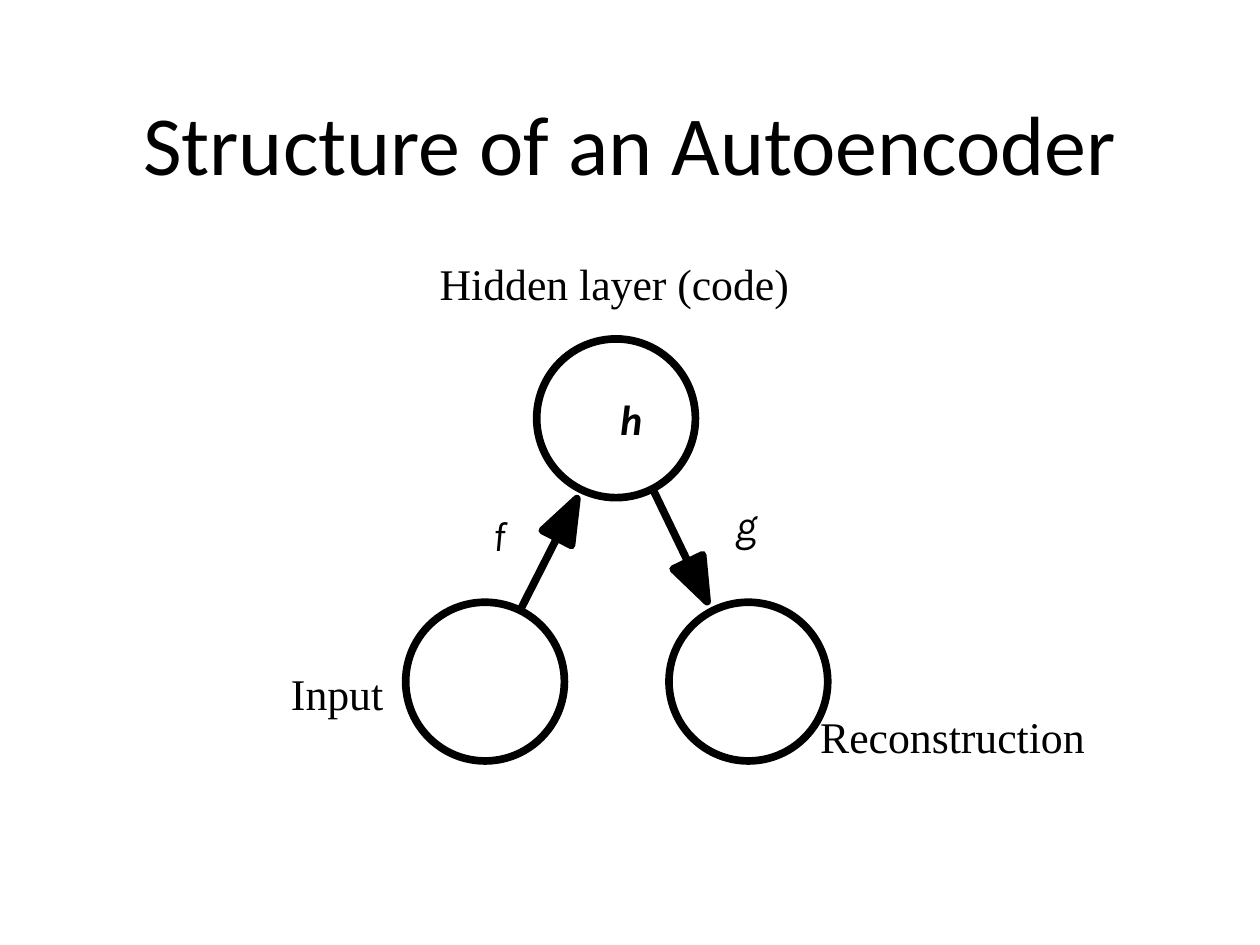
import math

import pptx
import pptx.dml.color
import pptx.enum.shapes
import pptx.enum.text
import pptx.oxml
import pptx.util
from pptx.util import Inches

BLACK = "000000"
LINE_WIDTH = 4.39
DIAMETER = 1.26
HEAD_LENGTH = 0.35
HEAD_HALF_WIDTH = 0.13
SERIF = "Times New Roman"


def color(hex_string):
    return pptx.dml.color.RGBColor.from_string(hex_string)


def set_line(shape):
    shape.line.color.rgb = color(BLACK)
    shape.line.width = pptx.util.Pt(LINE_WIDTH)


def add_text(slide, text, left, top, width, height, *, size=25, font=SERIF,
             bold=False, italic=False, wrap=False,
             align=pptx.enum.text.PP_ALIGN.LEFT,
             anchor=pptx.enum.text.MSO_ANCHOR.TOP):
    box = slide.shapes.add_textbox(Inches(left), Inches(top), Inches(width), Inches(height))
    frame = box.text_frame
    frame.word_wrap = wrap
    frame.vertical_anchor = anchor
    frame.margin_left = Inches(0.01)
    frame.margin_right = frame.margin_bottom = 0
    frame.margin_top = Inches(0.01)
    paragraph = frame.paragraphs[0]
    paragraph.text = text
    paragraph.alignment = align
    paragraph.font.name = font
    paragraph.font.size = pptx.util.Pt(size)
    paragraph.font.bold = bold
    paragraph.font.italic = italic
    paragraph.font.color.rgb = color(BLACK)


def add_node(slide, left, top):
    node = slide.shapes.add_shape(
        pptx.enum.shapes.MSO_SHAPE.OVAL,
        Inches(left), Inches(top), Inches(DIAMETER), Inches(DIAMETER))
    node.shadow.inherit = False
    node.fill.background()
    set_line(node)


def add_arrow(slide, start, end):
    """Draw a shaft from start to end, with a solid head beyond the end."""
    shaft = slide.shapes.add_connector(
        pptx.enum.shapes.MSO_CONNECTOR.STRAIGHT,
        *(Inches(value) for value in (*start, *end)))
    set_line(shaft)
    shaft.element.spPr.append(pptx.oxml.parse_xml(
        '<a:effectLst xmlns:a="http://schemas.openxmlformats.org/drawingml/2006/main"/>'))

    length = math.dist(start, end)
    along_x, along_y = ((b - a) / length for a, b in zip(start, end))
    x, y = end
    side_x, side_y = -along_y * HEAD_HALF_WIDTH, along_x * HEAD_HALF_WIDTH
    tip = (x + along_x * HEAD_LENGTH, y + along_y * HEAD_LENGTH)
    corners = [(x + side_x, y + side_y), (x - side_x, y - side_y)]
    first, *others = [(Inches(a), Inches(b)) for a, b in (tip, *corners)]
    builder = slide.shapes.build_freeform(*first)
    builder.add_line_segments(others, close=True)
    head = builder.convert_to_shape()
    head.shadow.inherit = False
    head.fill.solid()
    head.fill.fore_color.rgb = color(BLACK)
    set_line(head)


def main():
    presentation = pptx.Presentation()
    presentation.slide_width = Inches(10)
    presentation.slide_height = Inches(7.5)
    slide = presentation.slides.add_slide(presentation.slide_layouts[6])
    center = pptx.enum.text.PP_ALIGN.CENTER

    add_text(slide, "Structure of an Autoencoder", 0.77, 0.31, 8.45, 1.63,
             size=48, font="Calibri", wrap=True, align=center,
             anchor=pptx.enum.text.MSO_ANCHOR.MIDDLE)

    for left, top in [(3.22, 4.78), (4.26, 2.69), (5.31, 4.78)]:
        add_node(slide, left, top)
    add_arrow(slide, (4.13, 4.84), (4.42, 4.27))
    add_arrow(slide, (5.18, 3.88), (5.46, 4.46))

    add_text(slide, "f", 3.9, 4.03, 0.19, 0.41, size=24, font="Karla", italic=True)
    add_text(slide, "g", 5.83, 3.95, 0.18, 0.41, size=24, font="Karla", italic=True)
    add_text(slide, "Hidden layer (code)", 3.48, 2.03, 3.05, 0.43)
    add_text(slide, "h", 3.48, 3.11, 3.05, 0.41, size=24, font="Calibri",
             bold=True, italic=True, wrap=True, align=center)
    add_text(slide, "Reconstruction", 6.5, 5.62, 2.34, 0.43)
    add_text(slide, "Input", 2.3, 5.28, 0.87, 0.43)

    presentation.save("out.pptx")


if __name__ == "__main__":
    main()
